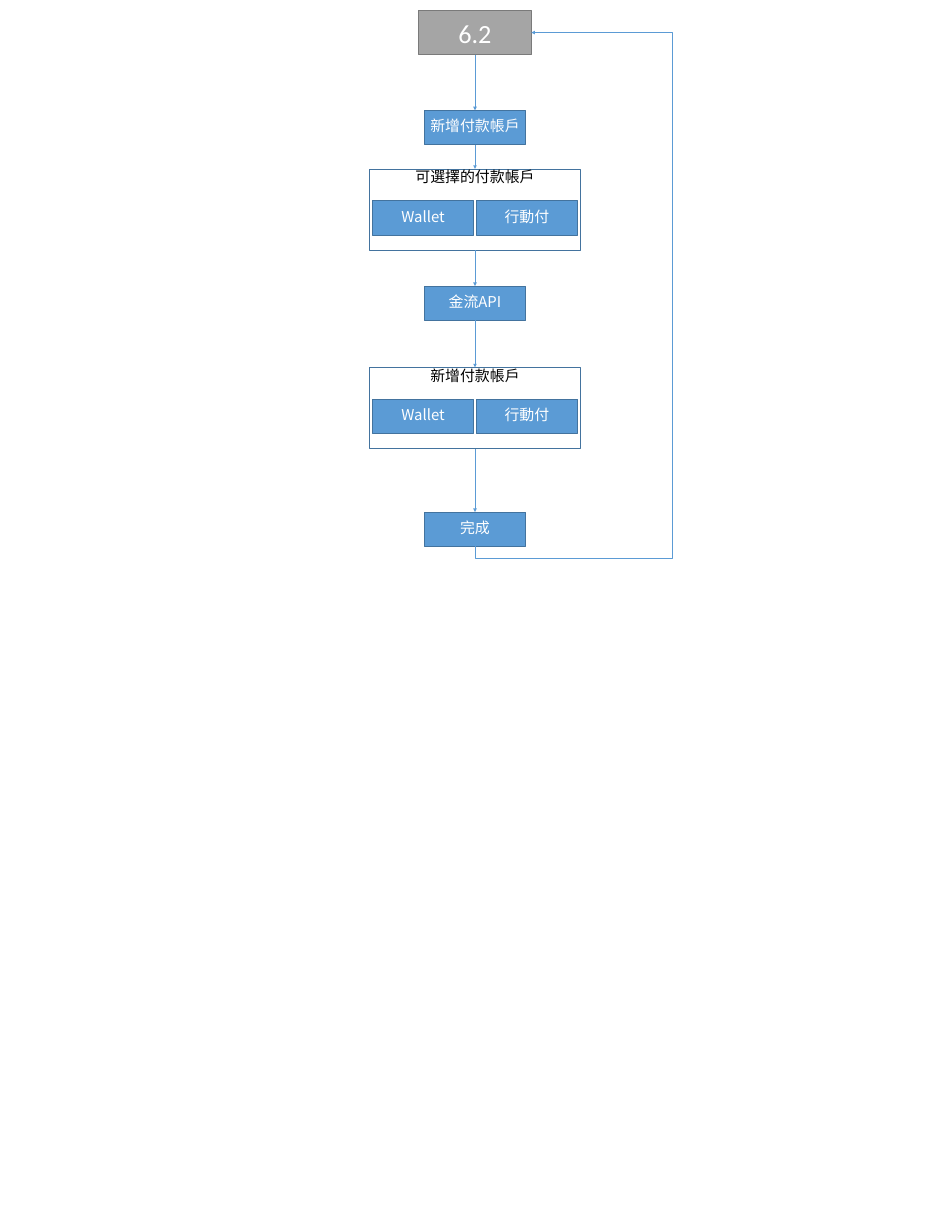
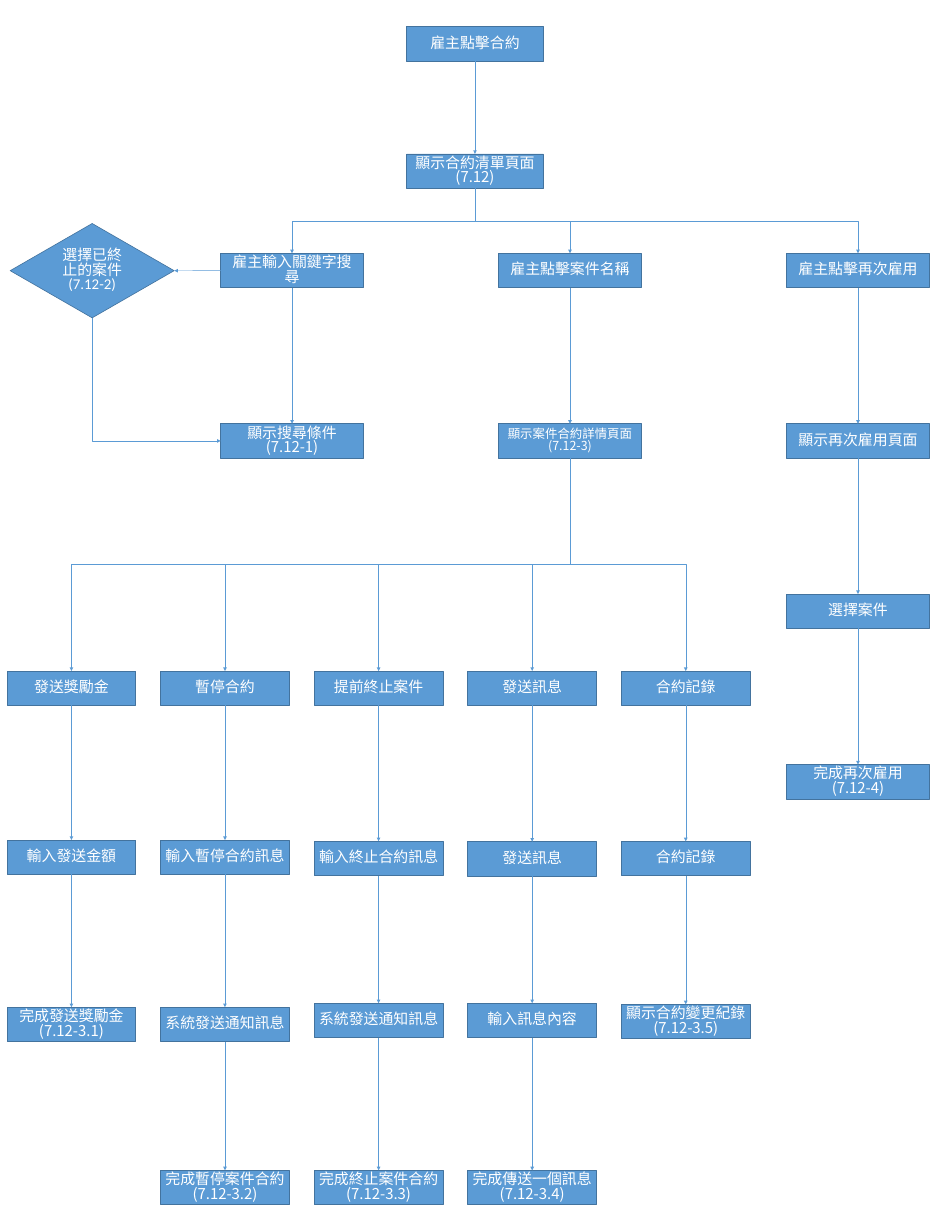
from lxml.etree import SubElement
from pptx import Presentation
from pptx.dml.color import RGBColor
from pptx.enum.shapes import MSO_CONNECTOR as Route, MSO_SHAPE as Preset
from pptx.enum.text import MSO_ANCHOR as Anchor, PP_ALIGN as Align
from pptx.oxml.ns import qn
from pptx.util import Cm, Pt

COLOURS = {"blue": "5B9BD5", "edge": "43739E", "grey": "A5A5A5",
           "grey_edge": "7A7A7A", "white": "FFFFFF", "black": "000000"}
CJK, LATIN = "Noto Sans CJK SC", "Calibri"
NODE_HEIGHT = 1.95
TOP, LEFT, BOTTOM, RIGHT = range(4)  # connection sites of a box


def colour(name):
    return RGBColor.from_string(COLOURS[name])


def write(shape, text, size=24, font=CJK, ink="white", anchor=Anchor.MIDDLE, spacing=0.82):
    """Fill a shape with centred text; a vertical tab breaks the line."""
    frame = shape.text_frame
    frame.word_wrap = True
    frame.vertical_anchor = anchor
    frame.text = text
    for para in frame.paragraphs:
        para.alignment = Align.CENTER
        para.line_spacing = spacing
        for span in para.runs:
            span.font.size = Pt(size)
            span.font.name = font
            span.font.color.rgb = colour(ink)
            SubElement(span.font._element, qn("a:ea")).set("typeface", CJK)


def node(page, text, centre, top, width, height=NODE_HEIGHT, preset=Preset.RECTANGLE,
         fill="blue", edge="edge", **style):
    """Place a box by its horizontal centre and its top, in centimetres."""
    box = page.shapes.add_shape(preset, Cm(centre - width / 2), Cm(top), Cm(width), Cm(height))
    box.shadow.inherit = False
    if fill:
        box.fill.solid()
        box.fill.fore_color.rgb = colour(fill)
    else:
        box.fill.background()
    box.line.color.rgb = colour(edge)
    box.line.width = Pt(1)
    write(box, text, **style)
    return box


def link(page, source, target, start=BOTTOM, end=TOP, route=Route.STRAIGHT):
    """Glue an arrow between two boxes."""
    arrow = page.shapes.add_connector(route, 0, 0, 0, 0)
    arrow.begin_connect(source, start)
    arrow.end_connect(target, end)
    arrow.line.color.rgb = colour("blue")
    arrow.line.width = Pt(0.5)
    properties = arrow.element.spPr
    SubElement(properties.find(qn("a:ln")), qn("a:tailEnd")).set("type", "triangle")
    SubElement(properties, qn("a:effectLst"))
    return arrow


def elbow(page, source, target, end=TOP, preset="bentConnector3", adjust=()):
    """Glue a bent arrow that leaves the source vertically."""
    arrow = link(page, source, target, end=end, route=Route.ELBOW)
    x1, y1, x2, y2 = arrow.begin_x, arrow.begin_y, arrow.end_x, arrow.end_y
    # The frame lies on its side: its width is the vertical distance.
    width, height = abs(y2 - y1), abs(x2 - x1)
    arrow.left, arrow.top = (x1 + x2 - width) // 2, (y1 + y2 - height) // 2
    arrow.width, arrow.height = width, height
    frame = arrow.element.spPr.find(qn("a:xfrm"))
    for flip in ("flipH", "flipV"):
        frame.attrib.pop(flip, None)
    rightward, downward = x2 > x1, y2 > y1
    frame.set("rot", str((270 if rightward else 90) * 60000))
    if rightward == downward:
        frame.set("flipH", "1")
    geometry = arrow.element.spPr.find(qn("a:prstGeom"))
    geometry.set("prst", preset)
    guides = geometry.find(qn("a:avLst"))
    for number, share in enumerate(adjust, 1):
        guide = SubElement(guides, qn("a:gd"))
        guide.set("name", f"adj{number}")
        guide.set("fmla", f"val {round(share * 100000)}")


def chain(page, steps, centre, width):
    """Stack (text, top, style) steps in a column, joined by arrows."""
    boxes = [node(page, text, centre, top, width, **style) for text, top, style in steps]
    for source, target in zip(boxes, boxes[1:]):
        link(page, source, target)
    return boxes


def account_group(page, title, centre, top):
    """Frame with a title and two account choices side by side."""
    frame = node(page, title, centre, top, 12, 4.62, fill=None, ink="black", anchor=Anchor.TOP)
    for side, name in ((-1, "Wallet"), (1, "行動付")):
        node(page, name, centre + side * 2.95, top + 1.8, 5.76)
    return frame


def payment_page(page, centre=27):
    start = node(page, "6.2", centre, 0.6, 6.4, 2.5, fill="grey", edge="grey_edge",
                 size=42.2, font=LATIN, spacing=1)
    add = node(page, "新增付款帳戶", centre, 6.27, 5.76)
    choices = account_group(page, "可選擇的付款帳戶", centre, 9.6)
    gateway = node(page, "金流API", centre, 16.26, 5.76)
    added = account_group(page, "新增付款帳戶", centre, 20.88)
    done = node(page, "完成", centre, 29.1, 5.76)
    steps = [start, add, choices, gateway, added, done]
    for source, target in zip(steps, steps[1:]):
        link(page, source, target)
    # Loop back to the start
    elbow(page, done, start, end=RIGHT, preset="bentConnector4", adjust=(-0.022, 3.5))


BRANCHES = [
    [("發送獎勵金", 38.13), ("輸入發送金額", 47.73), ("完成發送獎勵金\n(7.12-3.1)", 57.23)],
    [("暫停合約", 38.13), ("輸入暫停合約訊息", 47.73), ("系統發送通知訊息", 57.23),
     ("完成暫停案件合約\n(7.12-3.2)", 66.5)],
    [("提前終止案件", 38.13), ("輸入終止合約訊息", 47.8), ("系統發送通知訊息", 57),
     ("完成終止案件合約\n(7.12-3.3)", 66.5)],
    [("發送訊息", 38.13), ("發送訊息", 47.83), ("輸入訊息內容", 57),
     ("完成傳送一個訊息\n(7.12-3.4)", 66.5)],
    [("合約記錄", 38.13), ("合約記錄", 47.8), ("顯示合約變更紀錄\n(7.12-3.5)", 57.07)],
]


def contract_page(page, centre=27):
    # Entry
    listing = chain(page, [("雇主點擊合約", 1.52, {}),
                           ("顯示合約清單頁面\v(7.12)", 8.75, {})], centre, 7.78)[-1]

    # Search, case details and rehiring
    columns = [
        (16.6, ["雇主輸入關鍵字搜尋", "顯示搜尋條件\v(7.12-1)"], {}),
        (32.4, ["雇主點擊案件名稱", "顯示案件合約詳情頁面\v(7.12-3)"], {1: {"size": 20}}),
        (48.77, ["雇主點擊再次雇用", "顯示再次雇用頁面", "選擇案件", "完成再次雇用\v(7.12-4)"], {}),
    ]
    tracks = []
    for middle, texts, styles in columns:
        steps = [(text, 14.4 + 9.68 * row, styles.get(row, {})) for row, text in enumerate(texts)]
        tracks.append(chain(page, steps, middle, 8.1))
        elbow(page, listing, tracks[-1][0])
    (keyword, results), (_, details), _ = tracks

    # Filter for closed cases
    closed = node(page, "選擇已終止的案件\v(7.12-2)", 5.24, 12.7, 9.32, 5.36,
                  preset=Preset.DIAMOND, font=LATIN)
    link(page, keyword, closed, LEFT, RIGHT)
    elbow(page, closed, results, end=LEFT, preset="bentConnector2")

    # Actions on one contract
    for index, branch in enumerate(BRANCHES):
        steps = [(text, top, {}) for text, top in branch]
        elbow(page, details, chain(page, steps, 4.06 + 8.73 * index, 7.32)[0])


deck = Presentation()
deck.slide_width, deck.slide_height = Cm(54), Cm(70)
for build in (payment_page, contract_page):
    build(deck.slides.add_slide(deck.slide_layouts[6]))
deck.save("out.pptx")
